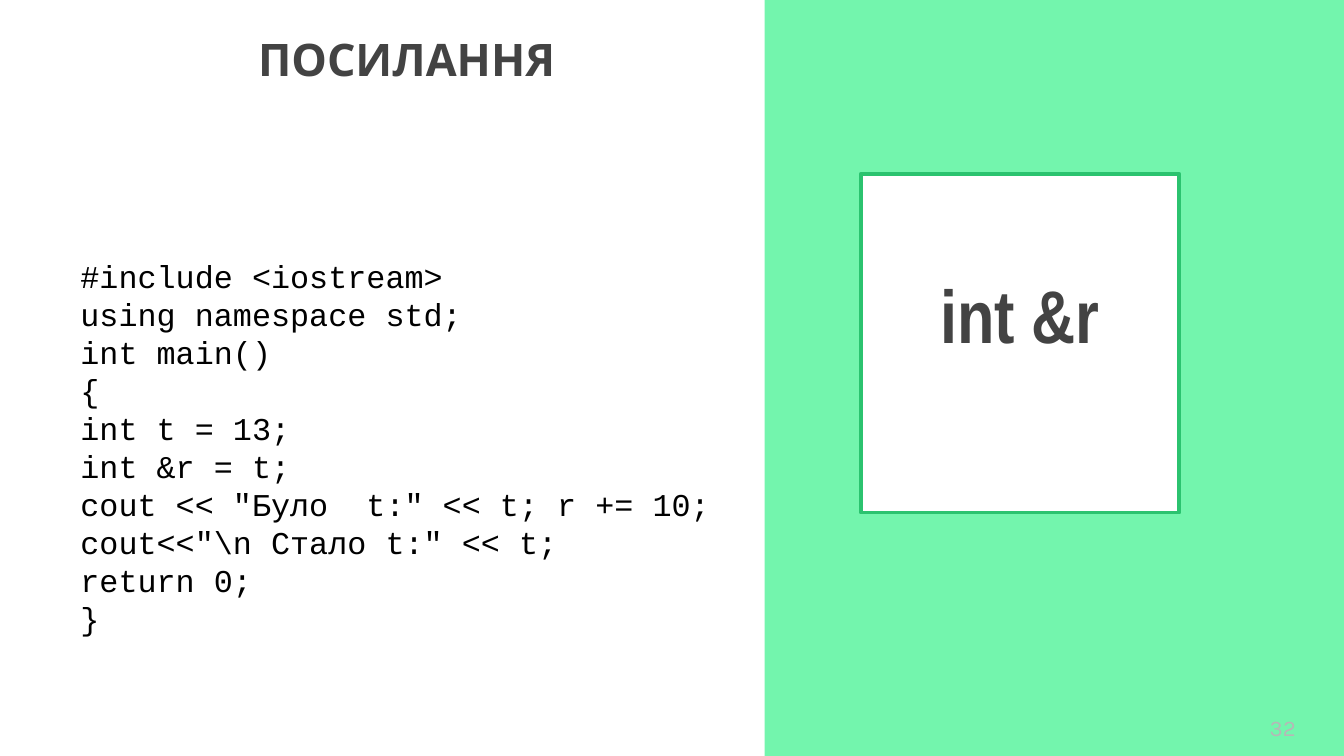
import pptx
import pptx.dml.color
import pptx.enum.shapes
import pptx.enum.text
import pptx.util

WIDTH = pptx.util.Inches(10)
HEIGHT = WIDTH * 9 // 16
COLORS = {
    "white": "FFFFFF",
    "panel": "73F5AD",
    "border": "2BC36F",
    "heading": "434343",
    "code": "000000",
    "number": "B7B7B7",
}
ALIGN = pptx.enum.text.PP_ALIGN
CODE = r'''#include <iostream>
using namespace std;
int main()
{
int t = 13;
int &r = t;
cout << "Було  t:" << t; r += 10;
cout<<"\n Стало t:" << t;
return 0;
}'''


def color(name):
    return pptx.dml.color.RGBColor.from_string(COLORS[name])


def area(left, top, width, height):
    return (
        int(WIDTH * left / 100),
        int(HEIGHT * top / 100),
        int(WIDTH * width / 100),
        int(HEIGHT * height / 100),
    )


def write(box, text, font, size, tone, align=ALIGN.LEFT, bold=False,
          inset_top=0.1, spacing=None):
    frame = box.text_frame
    frame.word_wrap = True
    frame.auto_size = pptx.enum.text.MSO_AUTO_SIZE.NONE
    frame.vertical_anchor = pptx.enum.text.MSO_ANCHOR.TOP
    frame.margin_left = frame.margin_right = pptx.util.Inches(0.1)
    frame.margin_top = pptx.util.Inches(inset_top)
    frame.margin_bottom = pptx.util.Inches(0.05)
    frame.text = text
    for para in frame.paragraphs:
        para.alignment = align
        if spacing:
            para.line_spacing = pptx.util.Pt(spacing)
        for span in para.runs:
            span.font.name = font
            span.font.size = pptx.util.Pt(size)
            span.font.bold = bold
            span.font.color.rgb = color(tone)


def add_rectangle(page, place, fill, border=None):
    box = page.shapes.add_shape(
        pptx.enum.shapes.MSO_SHAPE.RECTANGLE, *area(*place))
    box.shadow.inherit = False
    box.fill.solid()
    box.fill.fore_color.rgb = color(fill)
    if border:
        box.line.color.rgb = color(border)
        box.line.width = pptx.util.Pt(2)
    else:
        box.line.fill.background()
    return box


def add_text(page, place, text, *style, **options):
    box = page.shapes.add_textbox(*area(*place))
    write(box, text, *style, **options)


def set_title(page, place, text):
    title = page.shapes.title
    title.left, title.top, title.width, title.height = area(*place)
    write(title, text, "Karla", 24, "heading", ALIGN.CENTER, True)


def main():
    deck = pptx.Presentation()
    deck.slide_width, deck.slide_height = WIDTH, HEIGHT
    page = deck.slides.add_slide(deck.slide_layouts[5])

    add_rectangle(page, (56.9, -0.2, 43.3, 101.6), "panel")
    set_title(page, (9, 2.4, 42.5, 23.5), "ПОСИЛАННЯ")
    reference = add_rectangle(page, (64.05, 23, 23.7, 44.8), "white", "border")
    write(reference, "int &r", "Arial Narrow", 40, "heading",
          ALIGN.CENTER, True, inset_top=0.71)
    add_text(page, (5, 32.2, 50.6, 35.7), CODE, "Courier New", 17, "code",
             spacing=20.4)
    add_text(page, (91.4, 93, 6, 6), "32", "Karla", 12, "number",
             ALIGN.RIGHT, inset_top=0.08)

    deck.save("out.pptx")


if __name__ == "__main__":
    main()
